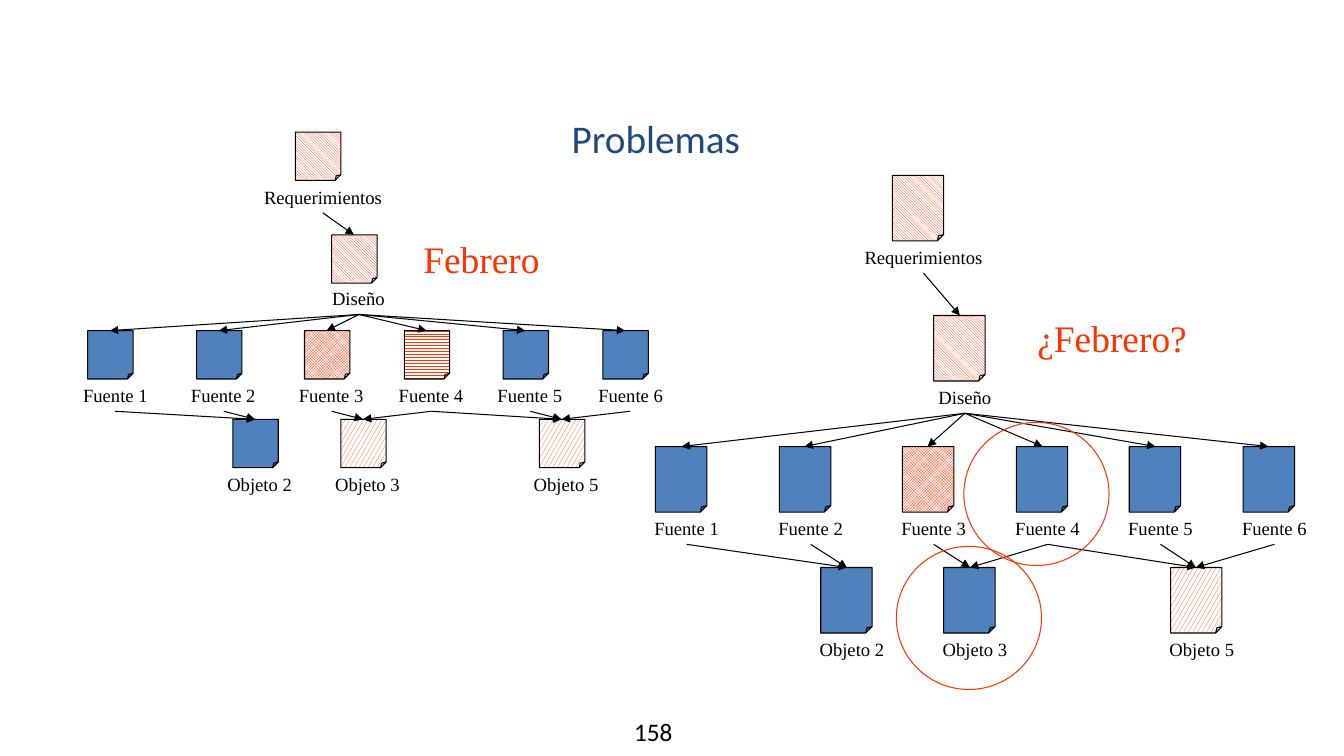
from lxml import etree
from pptx import Presentation
from pptx import util as u
from pptx.dml.color import RGBColor
from pptx.enum import dml, shapes, text
from pptx.oxml.ns import qn

BLACK = RGBColor(0x00, 0x00, 0x00)
WHITE = RGBColor(0xFF, 0xFF, 0xFF)
BLUE = RGBColor(0x4F, 0x81, 0xBD)
NAVY = RGBColor(0x1F, 0x49, 0x7D)
RED = RGBColor(0xFF, 0x33, 0x00)

PX = 9144
SANS, SERIF = "Calibri", "Times New Roman"
PATTERN = dml.MSO_PATTERN
DIAGONAL = PATTERN.DARK_DOWNWARD_DIAGONAL
CHECKER = PATTERN.SMALL_CHECKER_BOARD
CONFETTI = PATTERN.LARGE_CONFETTI
ZIGZAG = PATTERN.ZIG_ZAG

PAGE_WIDTH, PAGE_HEIGHT = 51, 65
LABEL_WIDTH, LABEL_HEIGHT = 184, 32
SOURCE_COLUMNS = [0, 123, 245, 358, 470, 583]
DOCUMENTS = {
    "Requerimientos": (235, 0),
    "Diseño": (276, 139),
    **{f"Fuente {number}": (column, 269)
       for number, column in enumerate(SOURCE_COLUMNS, 1)},
    **{f"Objeto {number}": (SOURCE_COLUMNS[number - 1] + 41, 389)
       for number in (2, 3, 5)},
}
ARROWS = [
    ("Requerimientos", "Diseño"),
    *[("Diseño", f"Fuente {number}") for number in range(1, 7)],
    *[(f"Fuente {source}", f"Objeto {target}")
      for source, target in
      [(1, 2), (2, 2), (3, 3), (4, 3), (4, 5), (5, 5), (6, 5)]],
]
SHARED_PATTERNS = {
    "Requerimientos": DIAGONAL,
    "Diseño": DIAGONAL,
    "Fuente 3": CHECKER,
    "Objeto 5": CONFETTI,
}


class DependencySlide:
    """Holds the style and the current slide, and draws its elements."""

    def __init__(self, presentation):
        self.slide = presentation.slides.add_slide(presentation.slide_layouts[5])
        self.canvas = self.slide.shapes
        self.line_width = u.Pt(0.75)

    def box(self, *lengths):
        return [u.Emu(round(length) * PX) for length in lengths]

    def run(self, paragraph, words, font_name, size, color):
        run = paragraph.add_run()
        run.text = words
        run.font.name = font_name
        run.font.size = u.Pt(size)
        run.font.color.rgb = color

    def title(self, words, *place):
        shape = self.slide.shapes.title
        shape.left, shape.top, shape.width, shape.height = self.box(*place)
        frame = shape.text_frame
        frame.vertical_anchor = text.MSO_ANCHOR.MIDDLE
        frame.margin_left = frame.margin_right = self.box(11)[0]
        frame.margin_top = frame.margin_bottom = self.box(6)[0]
        paragraph = frame.paragraphs[0]
        paragraph.alignment = text.PP_ALIGN.CENTER
        self.run(paragraph, words, SANS, 28, NAVY)

    def caption(self, words, place, font_name, size, color, centered=False):
        frame = self.canvas.add_textbox(*self.box(*place)).text_frame
        frame.word_wrap = centered
        paragraph = frame.paragraphs[0]
        if centered:
            paragraph.alignment = text.PP_ALIGN.CENTER
        self.run(paragraph, words, font_name, size, color)

    def outline(self, kind, place, color):
        shape = self.canvas.add_shape(kind, *self.box(*place))
        shape.shadow.inherit = False
        shape.line.color.rgb = color
        shape.line.width = self.line_width
        return shape

    def page(self, place, pattern):
        shape = self.outline(shapes.MSO_SHAPE.FOLDED_CORNER, place, BLACK)
        guides = next(shape._element.iter(qn("a:avLst")))
        etree.SubElement(guides, qn("a:gd"), name="adj", fmla="val 12500")
        if pattern is None:
            shape.fill.solid()
            shape.fill.fore_color.rgb = BLUE
        else:
            shape.fill.patterned()
            shape.fill.pattern = pattern
            shape.fill.fore_color.rgb = RED
            shape.fill.back_color.rgb = WHITE

    def circle(self, *place):
        self.outline(shapes.MSO_SHAPE.OVAL, place, RED).fill.background()

    def arrow(self, start, end):
        connector = self.canvas.add_connector(
            shapes.MSO_CONNECTOR.STRAIGHT, *self.box(*start, *end))
        connector.line.color.rgb = BLACK
        connector.line.width = self.line_width
        properties = connector._element.spPr
        etree.SubElement(properties.find(qn("a:ln")), qn("a:tailEnd"), type="triangle")
        etree.SubElement(properties, qn("a:effectLst"))

    def tree(self, left, top, x_scale, y_scale, patterns, month, month_place):
        self.canvas = self.slide.shapes.add_group_shape().shapes
        width, height = PAGE_WIDTH * x_scale, PAGE_HEIGHT * y_scale
        label_width = LABEL_WIDTH * x_scale
        label_indent = 61 * x_scale
        entries, exits = {}, {}
        for name, (column, row) in DOCUMENTS.items():
            x, y = left + column * x_scale, top + row * y_scale
            label_left, label_top = x - label_indent, y + height
            self.page((x, y, width, height), patterns.get(name))
            self.caption(name, (label_left, label_top, label_width, LABEL_HEIGHT),
                         SERIF, 13.3, BLACK, centered=True)
            entries[name] = (x + width / 2, y)
            exits[name] = (label_left + label_width / 2, label_top + LABEL_HEIGHT)
        for source, target in ARROWS:
            self.arrow(exits[source], entries[target])
        self.caption(month, month_place, SERIF, 26.7, RED)
        self.canvas = self.slide.shapes


def main():
    presentation = Presentation()
    presentation.slide_width = u.Emu(1333 * PX)
    presentation.slide_height = u.Emu(750 * PX)
    slide = DependencySlide(presentation)
    slide.caption("158", (619, 706, 64, 40), SANS, 18, BLACK)
    slide.title("Problemas", 84, 108, 1133, 58)
    slide.tree(650, 174, 1, 1, SHARED_PATTERNS,
               "¿Febrero?", (1019, 308, 170, 55))
    slide.circle(889, 542, 144, 142)
    slide.circle(956, 419, 144, 142)
    february_patterns = {**SHARED_PATTERNS, "Fuente 4": ZIGZAG, "Objeto 3": CONFETTI}
    slide.tree(87, 131, 511 / 583, 285 / 389, february_patterns,
               "Febrero", (410, 229, 137, 55))
    presentation.save("out.pptx")


if __name__ == "__main__":
    main()
